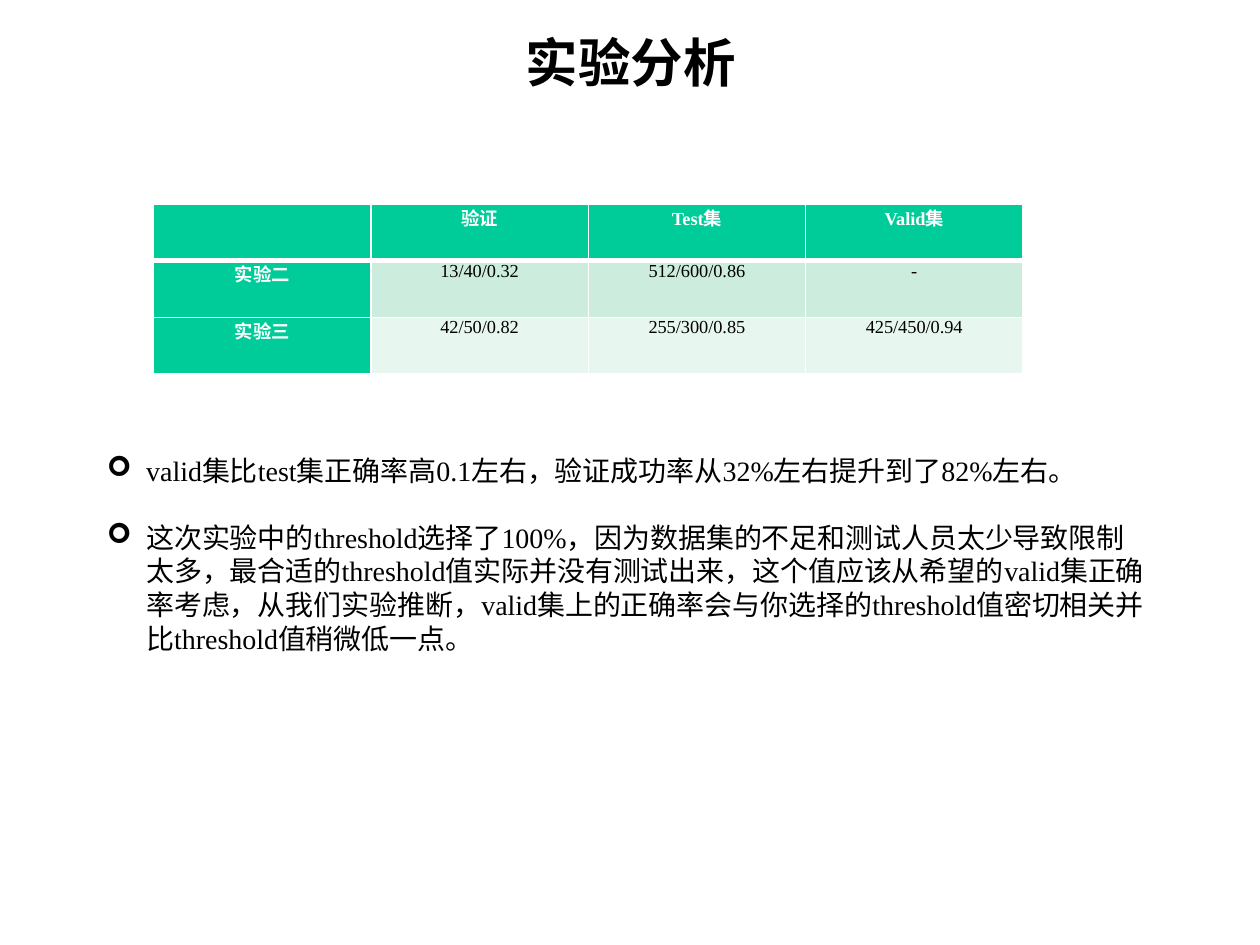
import pptx
import pptx.dml.color
import pptx.enum.lang
import pptx.enum.text
import pptx.oxml.ns
import pptx.util
from lxml import etree

Pt = pptx.util.Pt
RGB = pptx.dml.color.RGBColor
CENTER = pptx.enum.text.PP_ALIGN.CENTER
CHINESE = pptx.enum.lang.MSO_LANGUAGE_ID.SIMPLIFIED_CHINESE

BLACK = RGB(0x00, 0x00, 0x00)
WHITE = RGB(0xFF, 0xFF, 0xFF)
GREEN = RGB(0x00, 0xCC, 0x99)
MINT = RGB(0xCC, 0xEC, 0xDE)
PALE = RGB(0xE7, 0xF6, 0xEF)

SANS = "Noto Sans CJK SC"
SERIF = "Times New Roman"
LINE = 19.2


def add(parent, tag, **attrs):
    """Append a drawing element to the parent and return it."""
    return etree.SubElement(parent, pptx.oxml.ns.qn(tag), attrs)


def write(par, text, color, **form):
    """Add a run whose Chinese characters use the sans font."""
    run = par.add_run()
    run.text = text
    run.font.color.rgb = color
    for key, val in {"language_id": CHINESE, **form}.items():
        setattr(run.font, key, val)
    add(run.font._element, "a:ea", typeface=SANS)


deck = pptx.Presentation()
deck.slide_width, deck.slide_height = Pt(720), Pt(540)
slide = deck.slides.add_slide(deck.slide_layouts[5])

# Title
title = slide.shapes.title
place = {"left": Pt(43.2), "top": Pt(13.7), "width": Pt(634.3), "height": Pt(43.2)}
for key, val in place.items():
    setattr(title, key, val)
frame = title.text_frame
frame.auto_size = pptx.enum.text.MSO_AUTO_SIZE.NONE
frame.vertical_anchor = pptx.enum.text.MSO_ANCHOR.MIDDLE
par = frame.paragraphs[0]
par.alignment = CENTER
write(par, "实验分析", BLACK, size=Pt(30), bold=True, name=SANS)

# Results table
rows = [
    ["", "验证", "Test集", "Valid集"],
    ["实验二", "13/40/0.32", "512/600/0.86", "-"],
    ["实验三", "42/50/0.82", "255/300/0.85", "425/450/0.94"],
]
fills = [GREEN, MINT, PALE]
pad = {"margin_left": Pt(5), "margin_right": Pt(5), "margin_top": 0, "margin_bottom": 0}
table = slide.shapes.add_table(
    3, 4, Pt(87.8), Pt(116.6), Pt(496.8), Pt(97.2)).table
for row in table.rows:
    row.height = Pt(32.4)
for col in table.columns:
    col.width = Pt(124.2)

for i, row in enumerate(rows):
    for j, text in enumerate(row):
        cell = table.cell(i, j)
        for key, val in pad.items():
            setattr(cell, key, val)
        props = cell._tc.get_or_add_tcPr()
        for side in "LRTB":
            thick = (i, side) in [(0, "B"), (1, "T")]
            edge = add(props, f"a:ln{side}", w=str(Pt(3 if thick else 1)))
            add(add(edge, "a:solidFill"), "a:srgbClr", val=str(WHITE))
        head = i == 0 or j == 0
        cell.fill.solid()
        cell.fill.fore_color.rgb = GREEN if head else fills[i]
        par = cell.text_frame.paragraphs[0]
        par.alignment = CENTER
        if text:
            write(par, text, WHITE if head else BLACK,
                  size=Pt(10.5), bold=head, name=SERIF)

# Findings
notes = [
    "valid集比test集正确率高0.1左右，验证成功率从32%左右提升到了82%左右。",
    "这次实验中的threshold选择了100%，因为数据集的不足和测试人员太少导致限制太多，"
    "最合适的threshold值实际并没有测试出来，这个值应该从希望的valid集正确率考虑，"
    "从我们实验推断，valid集上的正确率会与你选择的threshold值密切相关并比threshold值稍微低一点。",
]
frame = slide.shapes.add_textbox(Pt(54), Pt(236.2), Pt(607), Pt(170.6)).text_frame
frame.word_wrap = True
frame.margin_top = Pt(3.6 + LINE)
for i, text in enumerate(notes):
    par = frame.add_paragraph() if i else frame.paragraphs[0]
    if i:
        par.space_before = Pt(LINE)
    props = par._p.get_or_add_pPr()
    props.set("marL", str(Pt(22.5)))
    props.set("indent", str(Pt(-22.5)))
    add(props, "a:buFont", typeface="Wingdings")
    add(props, "a:buChar", char="➢")
    write(par, text, BLACK, size=Pt(16), name=SERIF)

deck.save("out.pptx")
